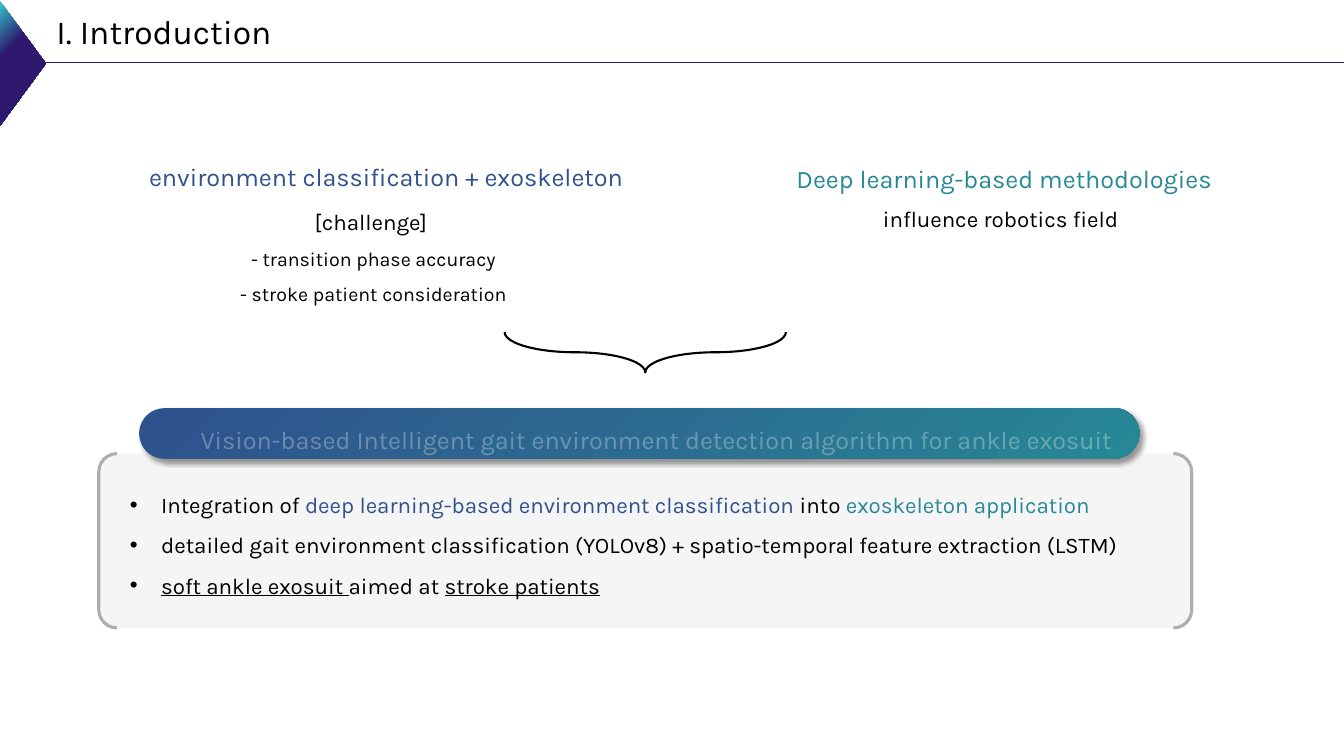
"""Build the introduction slide on vision-based gait environment detection."""
from dataclasses import dataclass

from lxml import etree
from pptx import Presentation
from pptx.dml.color import RGBColor
from pptx.enum.dml import MSO_FILL
from pptx.enum.shapes import MSO_CONNECTOR, MSO_SHAPE
from pptx.enum.text import MSO_ANCHOR, MSO_AUTO_SIZE, PP_ALIGN
from pptx.oxml import parse_xml
from pptx.oxml.ns import nsdecls, qn
from pptx.util import Pt

LEFT, CENTER = PP_ALIGN.LEFT, PP_ALIGN.CENTER
TOP, FIT = MSO_ANCHOR.TOP, MSO_AUTO_SIZE.SHAPE_TO_FIT_TEXT
BRACKETS, BRACE = MSO_SHAPE.DOUBLE_BRACKET, MSO_SHAPE.RIGHT_BRACE
PILL, TRIANGLE = MSO_SHAPE.ROUNDED_RECTANGLE, MSO_SHAPE.ISOSCELES_TRIANGLE
STRAIGHT = MSO_CONNECTOR.STRAIGHT
SOLID = MSO_FILL.SOLID
EMU_PER_PX = 9144
TITLE_ONLY = 5


@dataclass(frozen=True)
class Theme:
    font: str = "Karla"
    black: str = "000000"
    white: str = "FFFFFF"
    purple: str = "2E196F"
    cyan: str = "32CCCF"
    blue: str = "2F518D"
    steel: str = "2C6890"
    teal: str = "278895"
    panel: str = "F5F5F5"
    bracket: str = "AEAEAE"
    title: int = 24
    heading: int = 18
    body: int = 16
    detail: int = 14


T = Theme()


@dataclass(frozen=True)
class Run:
    text: str
    size: int = T.body
    color: str = T.black
    underline: bool = False
    alpha: int = 100


@dataclass(frozen=True)
class Box:
    x: int
    y: int
    w: int
    h: int
    paragraphs: tuple[tuple[Run, ...], ...]
    align: PP_ALIGN = LEFT
    spacing: float = 1.5
    bullets: bool = False


@dataclass(frozen=True)
class Figure:
    kind: MSO_SHAPE
    x: int
    y: int
    w: int
    h: int
    adjustments: tuple[float, ...]
    fill: str = ""
    line: str = ""
    width: float = 0
    rotation: int = 0
    stops: tuple[tuple[int, str], ...] = ()
    angle: int = 0


TITLE = Box(46, 6, 286, 50, ((Run("I. Introduction", T.title),),), spacing=1)
METHODS = Box(780, 142, 488, 49,
              ((Run("Deep learning-based methodologies", T.heading, T.teal),),))
BANNER_TEXT = Box(189, 401, 971, 49, ((Run(
    "Vision-based Intelligent gait environment detection algorithm for ankle exosuit",
    T.heading, T.white, alpha=30),),))
INFLUENCE = Box(854, 185, 277, 45, ((Run("influence robotics field"),),), CENTER)
ENVIRONMENT = Box(138, 140, 545, 49,
                  ((Run("environment classification + exoskeleton", T.heading, T.blue),),))
CHALLENGE = Box(179, 188, 383, 116, (
    (Run("[challenge] "),),
    (Run("- transition phase accuracy", T.detail),),
    (Run("- stroke patient consideration", T.detail),),
), CENTER)
CONTRIBUTIONS = Box(119, 469, 1053, 126, (
    (Run("Integration of "),
     Run("deep learning-based environment classification ", color=T.blue),
     Run("into "), Run("exoskeleton application", color=T.teal)),
    (Run("detailed gait environment classification (YOLOv8) + "
         "spatio-temporal feature extraction (LSTM)"),),
    (Run("soft ankle exosuit ", underline=True), Run("aimed at "),
     Run("stroke patients", underline=True)),
), bullets=True)

PANEL = Figure(BRACKETS, 98, 450, 1084, 173, (0.105,), T.panel, T.bracket, 2.25)
CORNER = Figure(TRIANGLE, -40, 40, 125, 46, (0.5,), rotation=90,
                stops=((0, T.cyan), (34, T.purple)), angle=315)
BANNER = Figure(PILL, 138, 405, 992, 50, (0.5,),
                stops=((0, T.blue), (44, T.steel), (100, T.teal)), angle=45)
JOIN = Figure(BRACE, 620, 210, 40, 279, (1.776, 0.5), line=T.black, width=1.5, rotation=90)


def px(n: int) -> int:
    return n * EMU_PER_PX


def rgb(color: str) -> RGBColor:
    return RGBColor.from_string(color)


def add_run(p, run: Run) -> None:
    r = p.add_run()
    r.text = run.text
    f = r.font
    f.name, f.size, f.underline = T.font, Pt(run.size), run.underline
    f.fill.solid()
    f.fill.fore_color.rgb = rgb(run.color)
    if run.alpha < 100:
        clr = f.fill._xPr.find(qn("a:solidFill"))[0]
        etree.SubElement(clr, qn("a:alpha")).set("val", str(run.alpha * 1000))
    r._r.get_or_add_rPr().insert(0, parse_xml(
        f'<a:ln {nsdecls("a")} w="9525"><a:solidFill><a:srgbClr val="{run.color}">'
        '<a:alpha val="30000"/></a:srgbClr></a:solidFill></a:ln>'))


def fill_box(sp, box: Box) -> None:
    sp.left, sp.top, sp.width, sp.height = map(px, (box.x, box.y, box.w, box.h))
    tf = sp.text_frame
    tf.word_wrap, tf.auto_size, tf.vertical_anchor = True, FIT, TOP
    for i, runs in enumerate(box.paragraphs):
        p = tf.add_paragraph() if i else tf.paragraphs[0]
        p.alignment, p.line_spacing = box.align, box.spacing
        if box.bullets:
            pPr = p._p.get_or_add_pPr()
            pPr.set("marL", str(px(31)))
            pPr.set("indent", str(px(-31)))
            etree.SubElement(pPr, qn("a:buFont")).set("typeface", "Arial")
            etree.SubElement(pPr, qn("a:buChar")).set("char", "•")
        for run in runs:
            add_run(p, run)


def add_text(shapes, box: Box):
    sp = shapes.add_textbox(0, 0, 0, 0)
    fill_box(sp, box)
    return sp


def add_figure(shapes, fig: Figure):
    sp = shapes.add_shape(fig.kind, *map(px, (fig.x, fig.y, fig.w, fig.h)))
    sp.shadow.inherit = False
    sp.rotation = fig.rotation
    for i, value in enumerate(fig.adjustments):
        sp.adjustments[i] = value
    if fig.fill:
        sp.fill.solid()
        sp.fill.fore_color.rgb = rgb(fig.fill)
    else:
        sp.fill.background()
    if fig.stops:
        stops = "".join(f'<a:gs pos="{pos * 1000}"><a:srgbClr val="{color}"/></a:gs>'
                        for pos, color in fig.stops)
        spPr = sp._element.spPr
        spPr.replace(spPr.find(qn("a:noFill")), parse_xml(
            f'<a:gradFill {nsdecls("a")} rotWithShape="1"><a:gsLst>{stops}</a:gsLst>'
            f'<a:lin ang="{fig.angle * 60000}" scaled="0"/></a:gradFill>'))
    if fig.line:
        sp.line.color.rgb = rgb(fig.line)
        sp.line.width = Pt(fig.width)
    else:
        sp.line.fill.background()
    return sp


def add_shadow(sp) -> None:
    sp._element.spPr.find(qn("a:effectLst")).append(parse_xml(
        f'<a:outerShdw {nsdecls("a")} blurRad="{Pt(4)}" dist="{Pt(3)}" dir="2700000" '
        f'algn="tl" rotWithShape="0"><a:srgbClr val="{T.black}"><a:alpha val="40000"/>'
        '</a:srgbClr></a:outerShdw>'))


def add_rule(shapes, x1: int, x2: int, y: int):
    rule = shapes.add_connector(STRAIGHT, px(x1), px(y), px(x2), px(y))
    rule.line.color.rgb = rgb(T.purple)
    rule.line.width = Pt(1.25)
    etree.SubElement(rule._element.spPr, qn("a:effectLst"))
    return rule


def main() -> None:
    prs = Presentation()
    prs.slide_width, prs.slide_height = px(1333), px(750)
    s = prs.slides.add_slide(prs.slide_layouts[TITLE_ONLY])
    shapes = s.shapes
    fill_box(shapes.title, TITLE)
    add_figure(shapes, PANEL)
    shapes.add_group_shape([add_rule(shapes, 43, 1334, 62), add_figure(shapes, CORNER)])
    add_text(shapes, METHODS)
    banner = add_figure(shapes, BANNER)
    add_shadow(banner)
    shapes.add_group_shape([banner, add_text(shapes, BANNER_TEXT)])
    for box in (INFLUENCE, ENVIRONMENT, CHALLENGE):
        add_text(shapes, box)
    add_figure(shapes, JOIN)
    add_text(shapes, CONTRIBUTIONS)
    prs.save("out.pptx")


if __name__ == "__main__":
    main()
